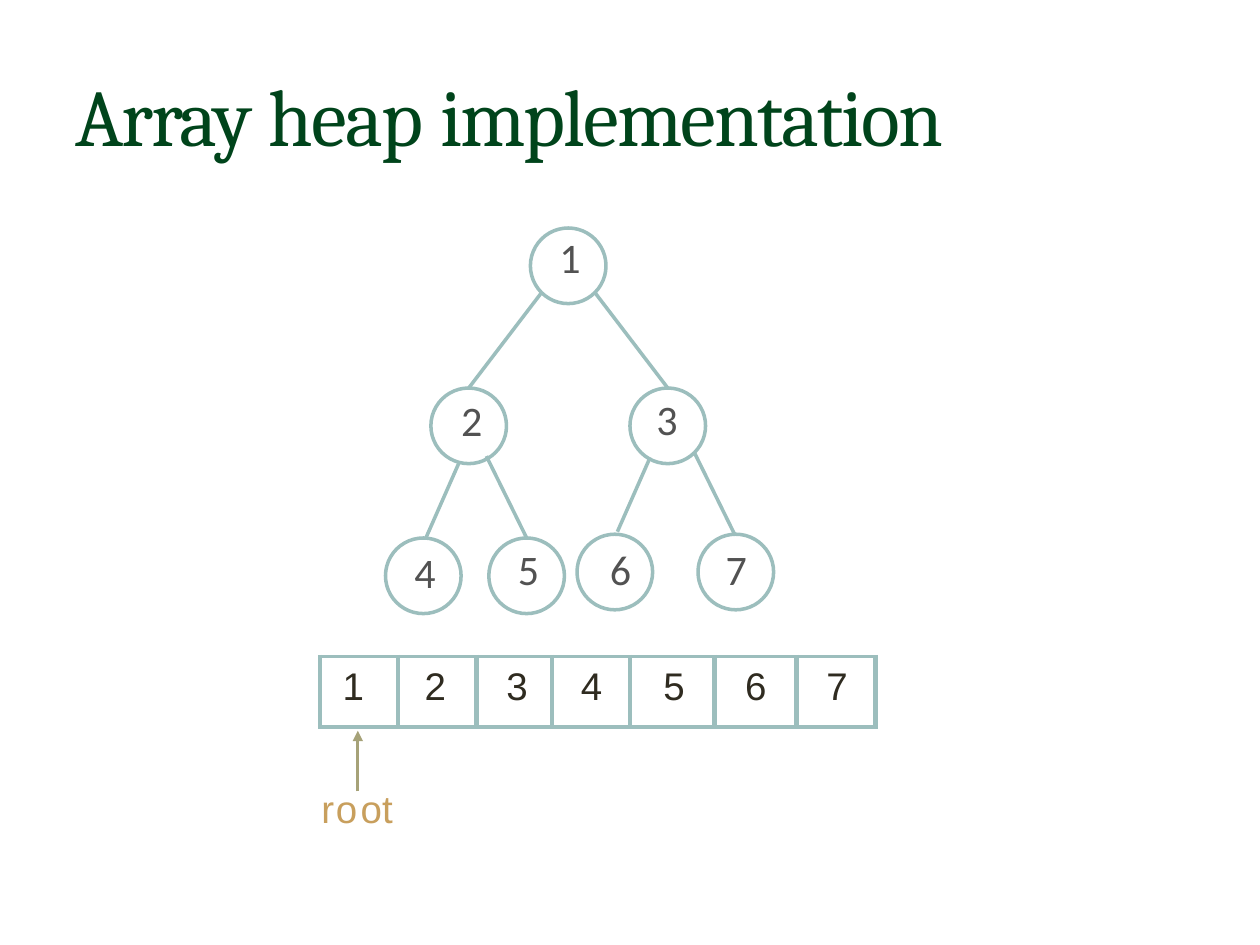
from lxml import etree
from pptx import Presentation
from pptx.dml.color import RGBColor
from pptx.enum.shapes import MSO_CONNECTOR, MSO_SHAPE
from pptx.enum.text import MSO_ANCHOR, PP_ALIGN
from pptx.oxml.ns import qn
from pptx.util import Inches, Pt

LINE = MSO_CONNECTOR.STRAIGHT
OVAL = MSO_SHAPE.OVAL
MIDDLE, TOP = MSO_ANCHOR.MIDDLE, MSO_ANCHOR.TOP
LEFT, CENTER = PP_ALIGN.LEFT, PP_ALIGN.CENTER

GREEN = RGBColor(0x00, 0x44, 0x1B)
TEAL = RGBColor(0x9C, 0xBE, 0xBD)
GREY = RGBColor(0x52, 0x52, 0x52)
DARK = RGBColor(0x2F, 0x2B, 0x20)
OLIVE = RGBColor(0xA6, 0xA2, 0x78)
GOLD = RGBColor(0xC8, 0x9F, 0x5D)

prs = Presentation()
prs.slide_width, prs.slide_height = Inches(10), Inches(7.5)
slide = prs.slides.add_slide(prs.slide_layouts[6])
shapes = slide.shapes


def add_text(box, runs, font, anchor=TOP):
    """Place a text box; runs are (text, letter spacing in points)."""
    frame = shapes.add_textbox(*map(Inches, box)).text_frame
    frame.word_wrap = True
    frame.vertical_anchor = anchor
    frame.margin_left = frame.margin_right = frame.margin_bottom = 0
    frame.margin_top = Inches(0.01)
    para = frame.paragraphs[0]
    para.space_before = Pt(1)
    para._p.get_or_add_pPr().set("marL", str(Inches(0.01)))
    for text, gap in runs:
        run = para.add_run()
        run.text = text
        for key, value in font.items():
            setattr(run.font, key, value)
        run.font.color.rgb = font_color[font["name"], font["size"]]
        if gap:
            run._r.get_or_add_rPr().set("spc", str(round(gap * 100)))


def add_line(x1, y1, x2, y2, color, width):
    line = shapes.add_connector(LINE, *map(Inches, (x1, y1, x2, y2)))
    line.line.color.rgb = color
    line.line.width = Pt(width)
    etree.SubElement(line._element.spPr, qn("a:effectLst"))
    return line


# Text formats
title_font = {"name": "Cambria", "size": Pt(46)}
node_font = {"name": "Calibri", "size": Pt(24)}
cell_font = {"name": "Arial", "size": Pt(22)}
font_color = {
    ("Cambria", Pt(46)): GREEN,
    ("Calibri", Pt(24)): GREY,
    ("Arial", Pt(22)): GOLD,
}

# Title
title = [("Array ", -1.2), ("heap ", -0.8), ("implementation", -1.1)]
add_text((0.59, 0.51, 7.2, 0.79), title, title_font, MIDDLE)

# Tree edges
edges = [
    (4.3, 2.32, 3.72, 3.08), (4.72, 2.32, 5.3, 3.08),
    (3.64, 3.68, 3.38, 4.27), (3.86, 3.62, 4.18, 4.27),
    (5.16, 3.63, 4.9, 4.22), (5.51, 3.59, 5.83, 4.24),
]
for ends in edges:
    add_line(*ends, TEAL, 2)

# Tree nodes: circle corner, then label corner
nodes = [
    (4.21, 1.81, 4.43, 1.83),
    (3.42, 3.08, 3.65, 3.12), (5, 3.08, 5.2, 3.11),
    (3.06, 4.27, 3.28, 4.33), (3.88, 4.27, 4.1, 4.3),
    (4.58, 4.24, 4.83, 4.3), (5.54, 4.24, 5.75, 4.3),
]
for num, (x, y, tx, ty) in enumerate(nodes, 1):
    node = shapes.add_shape(OVAL, *map(Inches, (x, y, 0.6, 0.6)))
    node.shadow.inherit = False
    node.fill.background()
    node.line.color.rgb = TEAL
    node.line.width = Pt(2)
    add_text((tx, ty, 0.2, 0.43), [(str(num), 0)], node_font)

# Array: column width, indent and alignment of each cell
cols = [
    (0.62, 0.18, LEFT), (0.62, 0.21, LEFT), (0.6, 0.24, LEFT),
    (0.62, 0.01, CENTER), (0.67, 0.03, CENTER), (0.65, 0.01, CENTER),
    (0.63, 0.24, LEFT),
]
table = shapes.add_table(
    1, len(cols), *map(Inches, (2.54, 5.21, 4.41, 0.56))).table
table.first_row = table.horz_banding = False
for i, (width, indent, align) in enumerate(cols):
    table.columns[i].width = Inches(width)
    cell = table.cell(0, i)
    cell.margin_left = cell.margin_right = cell.margin_bottom = 0
    cell.margin_top = Inches(0.07)
    para = cell.text_frame.paragraphs[0]
    para.alignment = align
    para.space_before = Pt(5.2)
    para._p.get_or_add_pPr().set("marL", str(Inches(indent)))
    run = para.add_run()
    run.text = str(i + 1)
    for key, value in cell_font.items():
        setattr(run.font, key, value)
    run.font.color.rgb = DARK
    # Cell borders
    props = cell._tc.get_or_add_tcPr()
    sides = {"L": 3 if i else 2.25, "R": 3, "T": 2.25, "B": 2.25}
    for side, size in sides.items():
        edge = etree.SubElement(props, qn("a:ln" + side), w=str(Pt(size)))
        fill = etree.SubElement(edge, qn("a:solidFill"))
        etree.SubElement(fill, qn("a:srgbClr"), val=str(TEAL))
    cell.fill.background()

# Root pointer
arrow = add_line(2.84, 6.28, 2.84, 5.8, OLIVE, 1.5)
etree.SubElement(arrow.line._get_or_add_ln(), qn("a:tailEnd"), type="triangle")
root = [("r", 1.1), ("o", 1.9), ("o", -0.3), ("t", 2.6)]
add_text((2.54, 6.22, 0.63, 0.39), root, cell_font)

prs.save("out.pptx")
